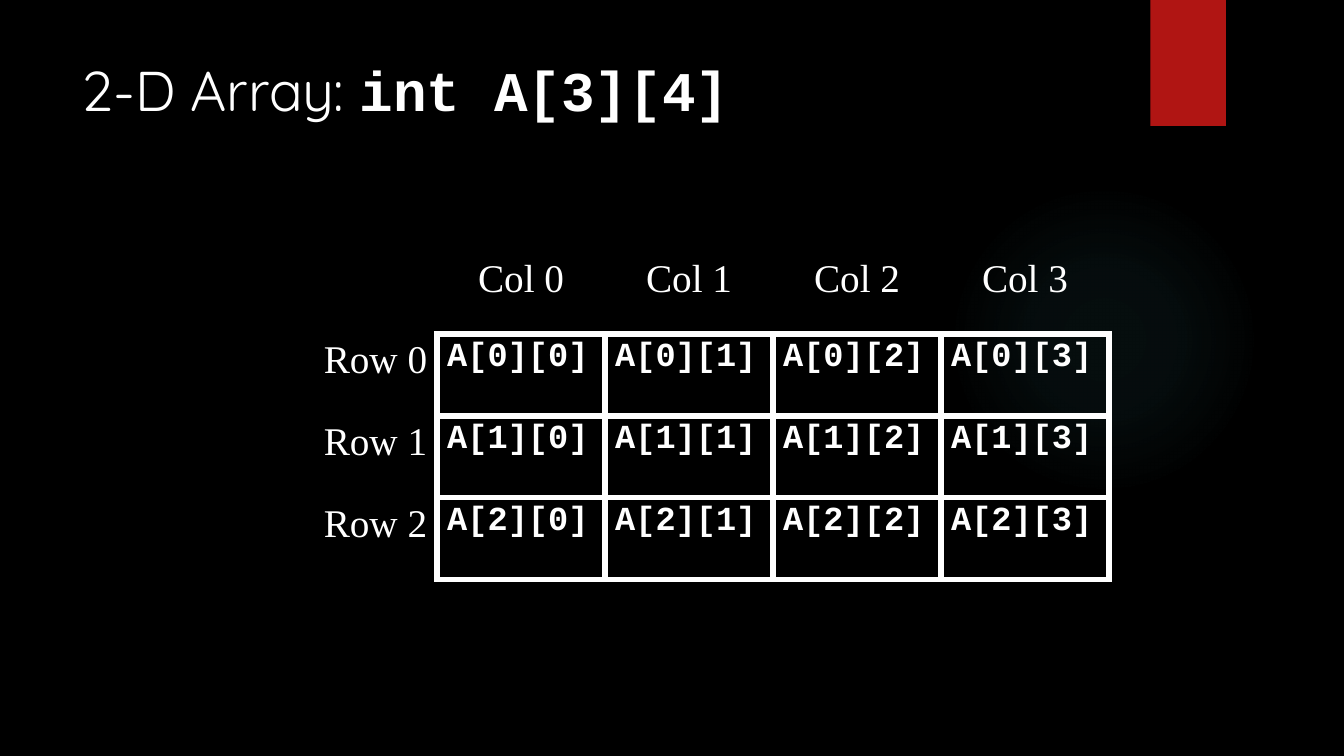
import pptx
import pptx.dml.color
import pptx.enum.shapes
import pptx.enum.text
import pptx.oxml
import pptx.oxml.ns
import pptx.util

Inches = pptx.util.Inches
SHAPE = pptx.enum.shapes.MSO_SHAPE
ALIGN = pptx.enum.text.PP_ALIGN
NS = pptx.oxml.ns.nsdecls("a")
WHITE = "FFFFFF"
ROWS, COLS = 3, 4


def color(value):
    return pptx.dml.color.RGBColor.from_string(value)


def style(r, font, size, bold=False):
    r.font.name = font
    r.font.size = pptx.util.Pt(size)
    r.font.bold = bold
    r.font.color.rgb = color(WHITE)


def add_plain_shape(slide, kind, left, top, width, height):
    sp = slide.shapes.add_shape(kind, Inches(left), Inches(top), Inches(width), Inches(height))
    sp.shadow.inherit = False
    sp.line.fill.background()
    return sp


def add_glow(slide, left, top, size):
    sp = add_plain_shape(slide, SHAPE.OVAL, left, top, size, size)
    stops = "".join(
        f'<a:gs pos="{pos * 1000}"><a:srgbClr val="50B9C1">'
        f'<a:alpha val="{alpha * 1000}"/></a:srgbClr></a:gs>'
        for pos, alpha in ((0, 7), (36, 6), (69, 0)))
    gradient = pptx.oxml.parse_xml(
        f'<a:gradFill {NS}><a:gsLst>{stops}</a:gsLst><a:path path="circle">'
        '<a:fillToRect l="50000" t="50000" r="50000" b="50000"/></a:path></a:gradFill>')
    geometry = sp.element.spPr.find(pptx.oxml.ns.qn("a:prstGeom"))
    geometry.addnext(gradient)


def add_ribbon(slide, left, top, width, height):
    sp = add_plain_shape(slide, SHAPE.RECTANGLE, left, top, width, height)
    sp.fill.solid()
    sp.fill.fore_color.rgb = color("B01513")


def add_title(slide, left, top, width, height):
    sp = slide.shapes.add_textbox(Inches(left), Inches(top), Inches(width), Inches(height))
    tf = sp.text_frame
    tf.word_wrap = True
    p = tf.paragraphs[0]
    for text, font, bold in (("2-D Array: ", "Quicksand", False),
                             ("int A[3][4]", "Courier New", True)):
        r = p.add_run()
        r.text = text
        style(r, font, 40, bold)


def set_borders(cell, visible):
    tcPr = cell._tc.get_or_add_tcPr()
    for i, side in enumerate("LRTB"):
        fill = (f'<a:solidFill><a:srgbClr val="{WHITE}"/></a:solidFill>'
                if side in visible else "<a:noFill/>")
        tcPr.insert(i, pptx.oxml.parse_xml(
            f'<a:ln{side} {NS} w="{pptx.util.Pt(4.5)}">{fill}</a:ln{side}>'))


def fill_cell(cell, row, col):
    if row and col:
        text, align, borders = f"A[{row - 1}][{col - 1}]", ALIGN.LEFT, "LRTB"
    elif col:
        text, align, borders = f"Col {col - 1}", ALIGN.CENTER, "B"
    elif row:
        text, align, borders = f"Row {row - 1}", ALIGN.RIGHT, "R"
    else:
        text, align, borders = "", ALIGN.LEFT, ""
    cell.fill.background()
    set_borders(cell, borders)
    p = cell.text_frame.paragraphs[0]
    p.text = text
    p.alignment = align
    for r in p.runs:
        if row and col:
            style(r, "Courier New", 24, True)
        else:
            style(r, "Times New Roman", 28)


def add_array_table(slide, left, top, width, height):
    table = slide.shapes.add_table(ROWS + 1, COLS + 1, Inches(left), Inches(top),
                                   Inches(width), Inches(height)).table
    table.first_row = False
    table.horz_banding = False
    for row in range(ROWS + 1):
        for col in range(COLS + 1):
            fill_cell(table.cell(row, col), row, col)


def main():
    prs = pptx.Presentation()
    prs.slide_width = Inches(13.33)
    prs.slide_height = Inches(7.5)
    slide = prs.slides.add_slide(prs.slide_layouts[6])
    slide.background.fill.solid()
    slide.background.fill.fore_color.rgb = color("000000")
    add_glow(slide, 9.41, 1.83, 3.08)
    add_ribbon(slide, 11.41, 0, 0.75, 1.25)
    add_title(slide, 0.71, 0.5, 10.29, 1.53)
    add_array_table(slide, 2.67, 2.5, 8.33, 3.25)
    prs.save("out.pptx")


if __name__ == "__main__":
    main()
